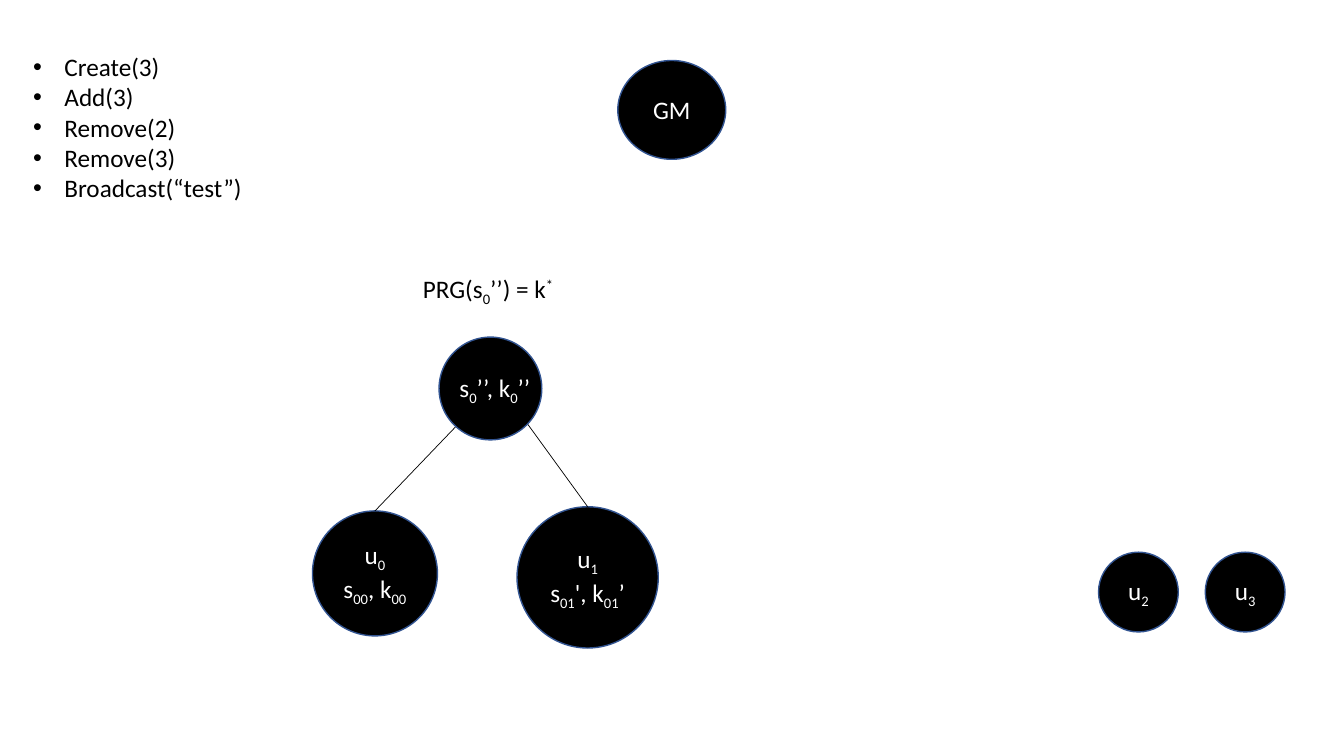
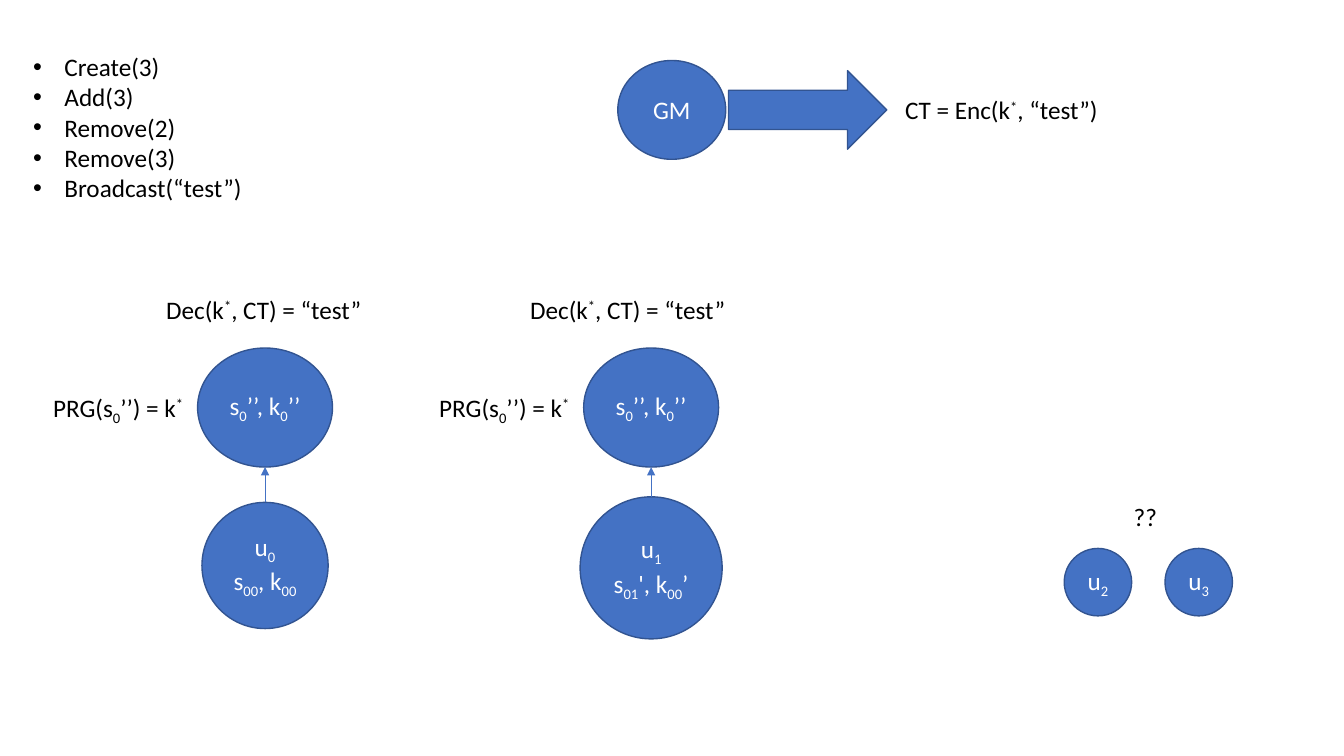
from dataclasses import dataclass

from lxml import etree
from pptx import Presentation
from pptx.dml.color import RGBColor
from pptx.enum.shapes import MSO_CONNECTOR, MSO_SHAPE
from pptx.enum.text import MSO_ANCHOR, MSO_AUTO_SIZE, PP_ALIGN
from pptx.oxml.ns import qn
from pptx.util import Cm, Pt

ELLIPSE, BLOCK_ARROW = MSO_SHAPE.OVAL, MSO_SHAPE.RIGHT_ARROW
STRAIGHT = MSO_CONNECTOR.STRAIGHT
LEFT, CENTER = PP_ALIGN.LEFT, PP_ALIGN.CENTER
MIDDLE, TOP = MSO_ANCHOR.MIDDLE, MSO_ANCHOR.TOP
NO_FIT = MSO_AUTO_SIZE.NONE
TOP_SITE = 0
BASELINES = {"_": "-25000", "^": "30000"}


@dataclass(frozen=True)
class Theme:
    font: str = "Calibri"
    size: int = 18
    ink: str = "000000"
    paper: str = "FFFFFF"
    blue: str = "4472C4"
    outline: str = "325491"
    outline_width: float = 1
    edge_width: float = 0.5


THEME = Theme()

# Texts: "|" separates spans, "_" opens a subscript and "^" a superscript
STEPS = ["Create(3)", "Add(3)", "Remove(2)", "Remove(3)", "Broadcast(“test”)"]
ROOT_KEYS = "s|_0|’’, k|_0|’’"
GROUP_KEY = "PRG(s|_0|’’) = k|^*"
DECRYPTED = "Dec(k|^*|, CT) = “test”"
MEMBER_0 = ["u|_0", "s|_00|, k|_00"]


def write(frame, lines, color=THEME.ink, align=LEFT, anchor=TOP, wrap=False):
    """Fill a text frame, one paragraph for each marked-up line."""
    frame.word_wrap = wrap
    frame.vertical_anchor = anchor
    for index, line in enumerate(lines):
        para = frame.paragraphs[0] if index == 0 else frame.add_paragraph()
        para.alignment = align
        para.space_before = Pt(0)
        for part in line.split("|"):
            baseline = BASELINES.get(part[0])
            span = para.add_run()
            span.text = part[1:] if baseline else part
            span.font.name = THEME.font
            span.font.size = Pt(THEME.size)
            span.font.color.rgb = RGBColor.from_string(color)
            if baseline:
                span.font._element.set("baseline", baseline)


class Board:
    """The current slide, drawn with one node colour."""

    def __init__(self, deck, node_color):
        self.page = deck.slides.add_slide(deck.slide_layouts[1])
        self.shapes = self.page.shapes
        self.node_color = node_color
        title = self.shapes.title._element
        title.getparent().remove(title)

    def bullets(self, lines, left, top, width, height, indent=0.79):
        box = self.page.placeholders[1]
        box.left, box.top = Cm(left), Cm(top)
        box.width, box.height = Cm(width), Cm(height)
        box.text_frame.auto_size = NO_FIT
        write(box.text_frame, lines, wrap=True)
        for para in box.text_frame.paragraphs:
            properties = para._p.get_or_add_pPr()
            properties.set("marL", str(Cm(indent)))
            properties.set("indent", str(-Cm(indent)))

    def solid(self, kind, left, top, width, height):
        shape = self.shapes.add_shape(kind, Cm(left), Cm(top), Cm(width), Cm(height))
        shape.shadow.inherit = False
        shape.fill.solid()
        shape.fill.fore_color.rgb = RGBColor.from_string(self.node_color)
        shape.line.color.rgb = RGBColor.from_string(THEME.outline)
        shape.line.width = Pt(THEME.outline_width)
        return shape

    def node(self, lines, center_x, center_y, width, height=None):
        height = height or width
        shape = self.solid(ELLIPSE, center_x - width / 2, center_y - height / 2, width, height)
        if lines:
            write(shape.text_frame, lines, color=THEME.paper, align=CENTER, anchor=MIDDLE)
        return shape

    def label(self, text, left, top, width, color=THEME.ink):
        box = self.shapes.add_textbox(Cm(left), Cm(top), Cm(width), Cm(1.02))
        write(box.text_frame, [text], color=color)

    def edge(self, node, end_x, end_y, color, arrow=False):
        """Draw a line from the top of a node to a point."""
        line = self.shapes.add_connector(STRAIGHT, 0, 0, Cm(end_x), Cm(end_y))
        line.begin_connect(node, TOP_SITE)
        line.line.color.rgb = RGBColor.from_string(color)
        line.line.width = Pt(THEME.edge_width)
        if arrow:
            etree.SubElement(line.line._get_or_add_ln(), qn("a:tailEnd"), type="triangle")
        etree.SubElement(line._element.spPr, qn("a:effectLst"))

    def manager_and_steps(self):
        self.node(["GM"], 16.93, 2.77, 2.72, 2.49)
        self.bullets(STEPS, 0.58, 1.17, 6.1, 4.11)

    def removed_members(self, center_x, center_y, size, step):
        for index in range(2):
            self.node([f"u|_{index + 2}"], center_x + index * step, center_y, size)


def key_tree(deck):
    board = Board(deck, THEME.ink)
    board.manager_and_steps()
    board.removed_members(28.69, 14.92, 2.01, step=2.69)

    # Members, with edges that run under the root
    root_x, root_y = 12.36, 9.79
    member_0 = board.node(MEMBER_0, 9.45, 14.45, 3.15)
    member_1 = board.node(["u|_1", "s|_01|', k|_01|’"], 14.81, 14.55, 3.56)
    for member, offset in ((member_0, -0.5), (member_1, 0.7)):
        board.edge(member, root_x + offset, 10.36, THEME.ink)

    # Root and its keys
    board.node(None, root_x, root_y, 2.59)
    board.label(ROOT_KEYS, 11.33, 9.25, 2.36, color=THEME.paper)
    board.label(GROUP_KEY, 10.41, 6.76, 3.89)


def broadcast(deck):
    board = Board(deck, THEME.blue)
    board.manager_and_steps()

    # Ciphertext sent by the manager
    board.solid(BLOCK_ARROW, 18.36, 1.78, 3.99, 1.98)
    board.label("CT = Enc(k|^*|, “test”)", 22.56, 2.26, 5.46)

    # Each remaining member derives the key and decrypts
    keys_y, keys_height = 10.27, 3
    members = (
        (MEMBER_0, 6.68, 14.25, 3.18, 3.94),
        (["u|_1", "s|_01|', k|_00|’"], 16.41, 14.31, 3.58, 13.11),
    )
    for lines, center_x, center_y, size, decrypted_left in members:
        member = board.node(lines, center_x, center_y, size)
        board.node([ROOT_KEYS], center_x, keys_y, 3.4, keys_height)
        board.edge(member, center_x, keys_y + keys_height / 2, THEME.blue, arrow=True)
        board.label(GROUP_KEY, center_x - 5.59, 9.75, 3.89)
        board.label(DECRYPTED, decrypted_left, 7.29, 5.49)

    # Removed members learn nothing
    board.removed_members(27.67, 14.67, 1.7, step=2.54)
    board.label("??", 28.32, 12.52, 1.12)


def main():
    deck = Presentation()
    deck.slide_width, deck.slide_height = Cm(33.87), Cm(19.05)
    key_tree(deck)
    broadcast(deck)
    deck.save("out.pptx")


if __name__ == "__main__":
    main()
